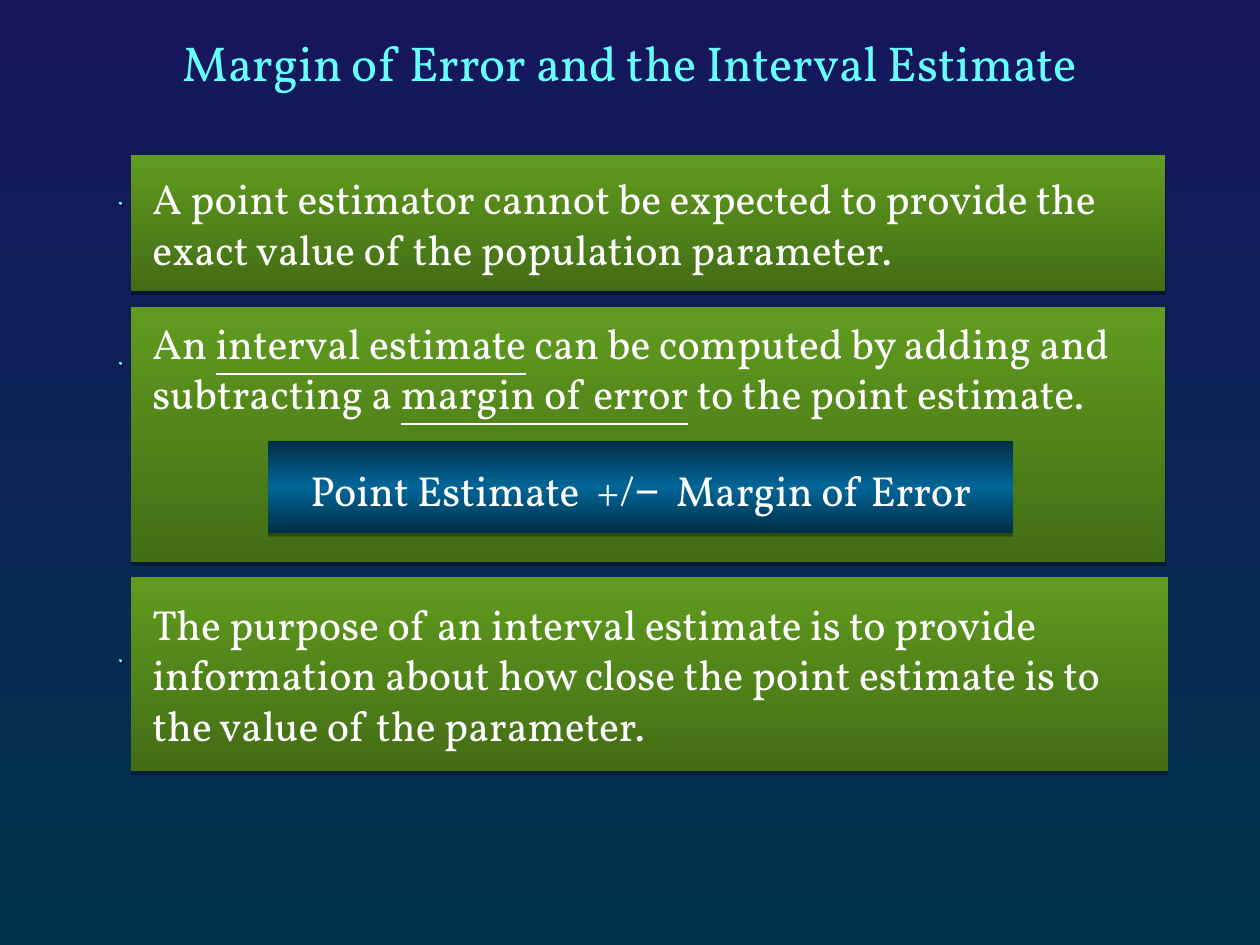
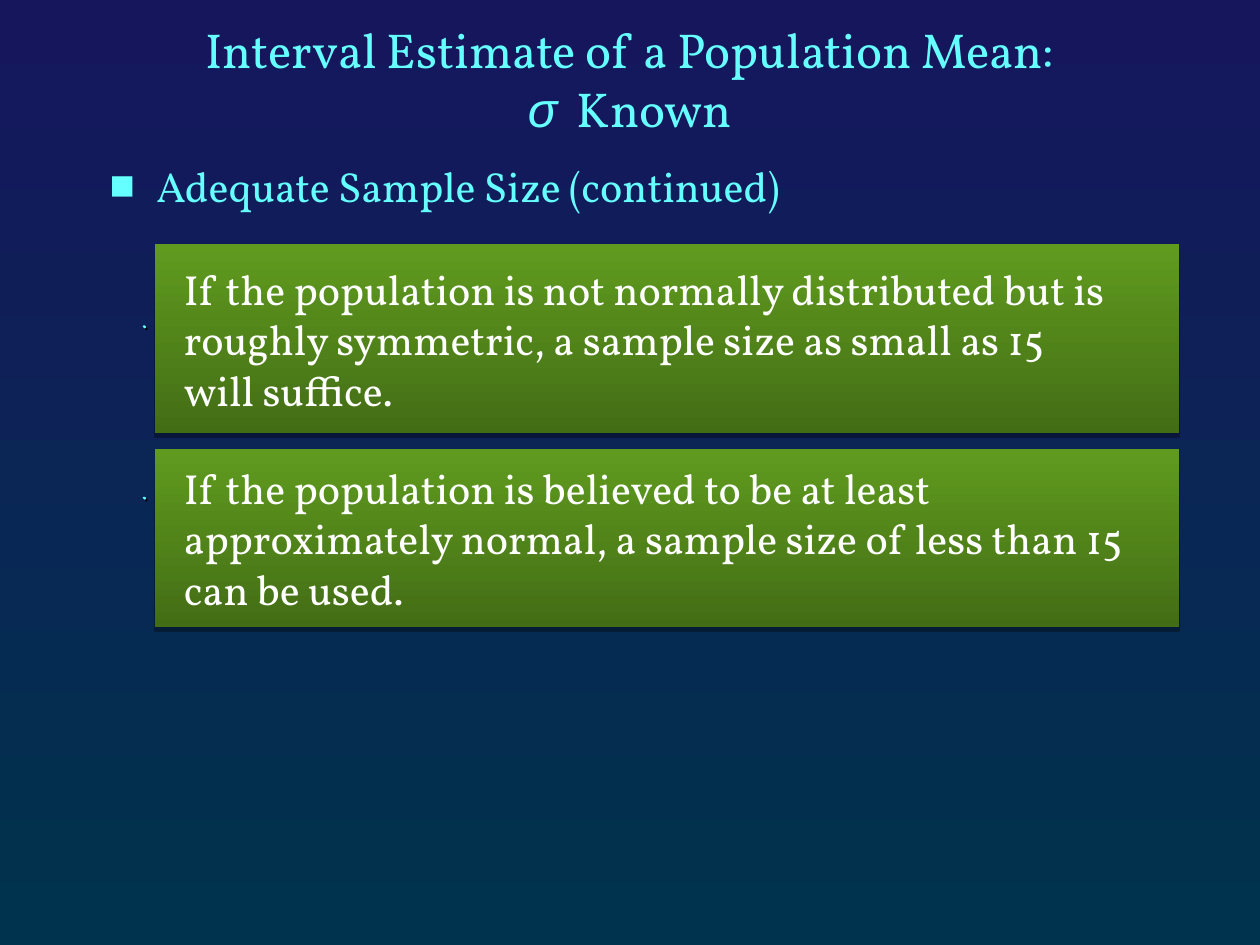
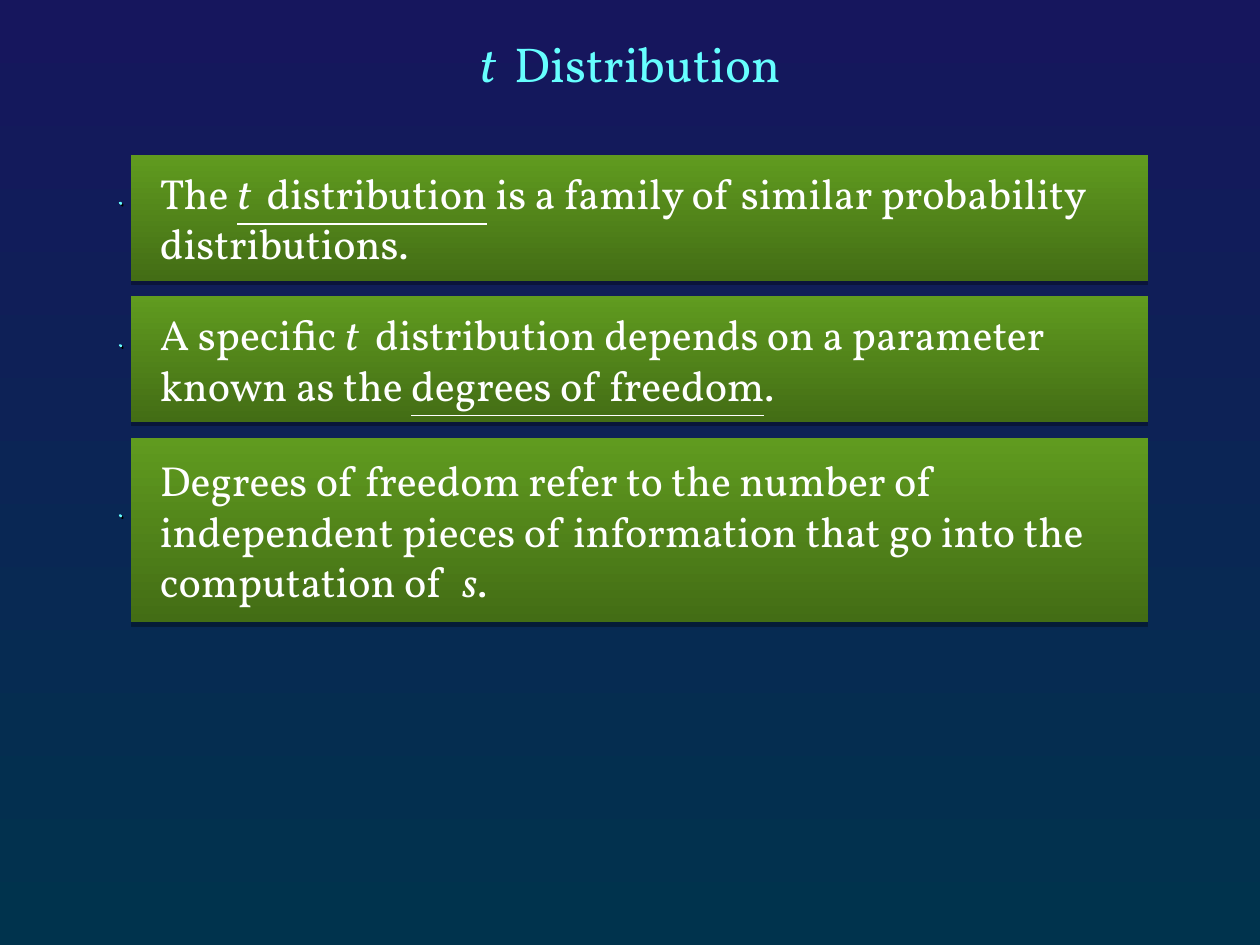
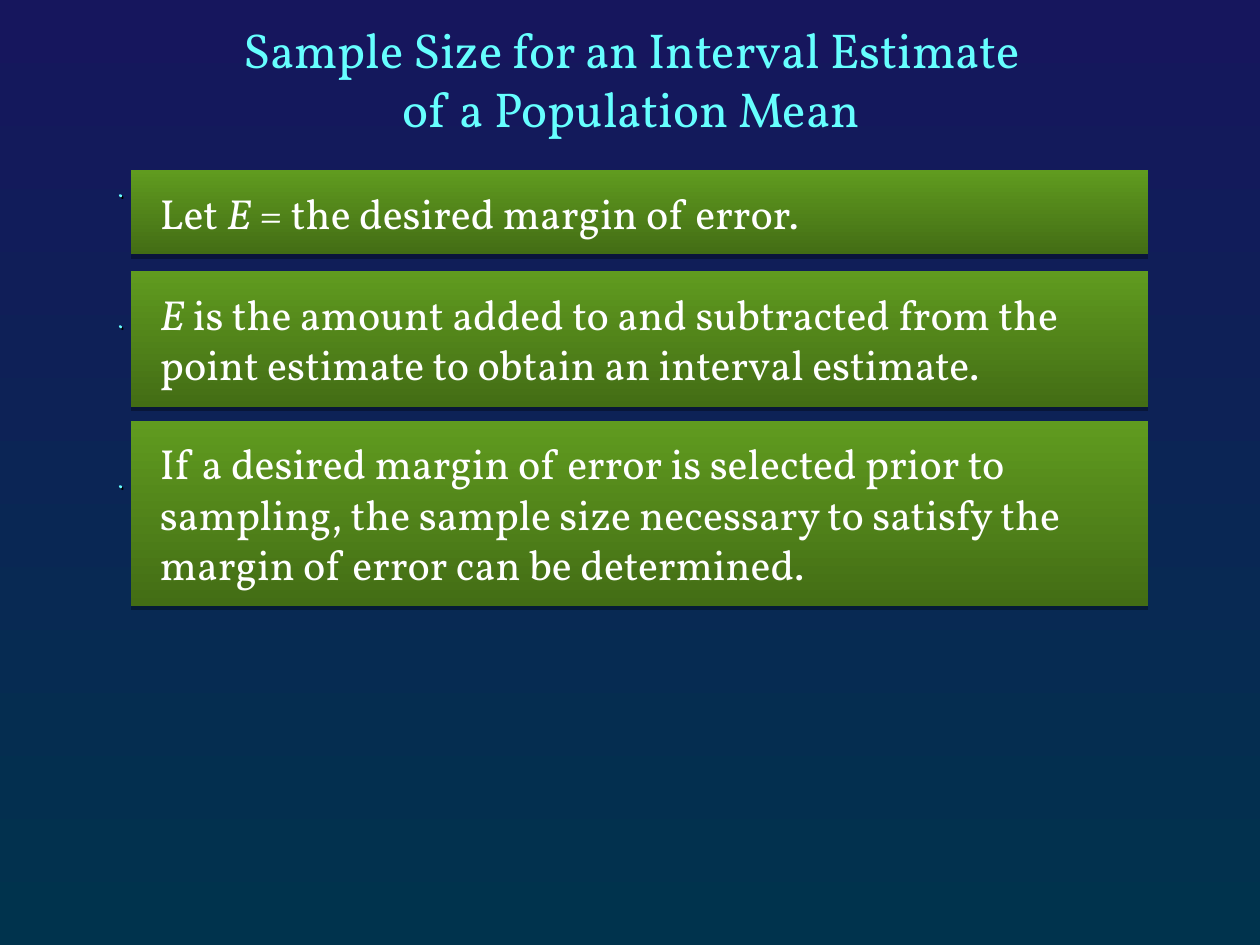
from copy import deepcopy

from pptx import Presentation
from pptx.dml.color import RGBColor
from pptx.enum.shapes import MSO_SHAPE
from pptx.enum.text import MSO_ANCHOR, MSO_AUTO_SIZE, PP_ALIGN
from pptx.oxml import parse_xml
from pptx.oxml.ns import nsdecls, qn
from pptx.util import Inches, Pt

RECTANGLE = MSO_SHAPE.RECTANGLE
TOP, MIDDLE = MSO_ANCHOR.TOP, MSO_ANCHOR.MIDDLE
LEFT, CENTER = PP_ALIGN.LEFT, PP_ALIGN.CENTER
NO_AUTOFIT = MSO_AUTO_SIZE.NONE

SERIF, SYMBOL = "Vollkorn", "Arial"
CYAN, WHITE, BLACK = "66FFFF", "FFFFFF", "000000"
NIGHT = ("16165D", "00334D")
GREEN = ("609B1F", "436D15")
BLUE = ("002F46", "006699", "002F46")
TITLE_SIZE, TEXT_SIZE = 28, 24


def color(value):
    return RGBColor.from_string(value)


def italic(text, **style):
    return text, {"italic": True, **style}


def underlined(text):
    return text, {"underline": True}


def symbol(text, **style):
    return text, {"name": SYMBOL, **style}


def paint_gradient(owner, fill, colors):
    fill.gradient()
    fill.gradient_angle = 270
    stops = next(owner.element.iter(qn("a:gsLst")))
    while len(stops) < len(colors):
        stops.append(deepcopy(stops[-1]))
    for index, (stop, value) in enumerate(zip(fill.gradient_stops, colors)):
        stop.color.rgb = color(value)
        stop.position = index / (len(colors) - 1)


def cast_shadow(shape, distance, angle, opacity):
    shape.shadow.inherit = False
    effects = shape.element.spPr.find(qn("a:effectLst"))
    effects.append(parse_xml(
        f'<a:outerShdw {nsdecls("a")} dist="{Pt(distance)}" dir="{angle * 60000}" '
        f'algn="ctr" rotWithShape="0"><a:srgbClr val="{BLACK}">'
        f'<a:alpha val="{opacity * 1000}"/></a:srgbClr></a:outerShdw>'))


def write(shape, lines, size=TEXT_SIZE, ink=WHITE, align=LEFT, anchor=MIDDLE,
          inset_left=0.1, inset_top=0.05):
    frame = shape.text_frame
    frame.word_wrap = True
    frame.auto_size = NO_AUTOFIT
    frame.vertical_anchor = anchor
    frame.margin_left, frame.margin_right = Inches(inset_left), Inches(0.1)
    frame.margin_top, frame.margin_bottom = Inches(inset_top), Inches(0.05)
    for index, line in enumerate(lines):
        paragraph = frame.add_paragraph() if index else frame.paragraphs[0]
        paragraph.alignment = align
        paragraph.space_before = Pt(0)
        for part in [line] if isinstance(line, str) else line:
            if part == "\n":
                paragraph.add_line_break()
                continue
            text, style = (part, {}) if isinstance(part, str) else part
            run = paragraph.add_run()
            run.text = text
            run.font.size = Pt(size)
            run.font.color.rgb = color(ink)
            for key, value in {"name": SERIF, **style}.items():
                setattr(run.font, key, value)


def place(shape, left, top, width, height):
    shape.left, shape.top = Inches(left), Inches(top)
    shape.width, shape.height = Inches(width), Inches(height)


def add_slide(deck, layout, heading, top, height, left=0.75):
    slide = deck.slides.add_slide(deck.slide_layouts[layout])
    place(slide.shapes.title, left, top, 8.5, height)
    write(slide.shapes.title, [heading], size=TITLE_SIZE, ink=CYAN, align=CENTER)
    return slide


def add_box(slide, left, top, width, height, colors):
    box = slide.shapes.add_shape(RECTANGLE, Inches(left), Inches(top),
                                 Inches(width), Inches(height))
    paint_gradient(box, box.fill, colors)
    box.line.fill.background()
    cast_shadow(box, distance=2.2, angle=90, opacity=32)
    return box


def add_mark(slide, left, top, width=0.27, height=0.17):
    outline = slide.shapes.build_freeform(0, 0)
    outline.add_line_segments([(Inches(0.01), 0), (0, Inches(0.01))])
    mark = outline.convert_to_shape()
    outline_path = next(mark.element.iter(qn("a:path")))
    outline_path.set("w", str(Inches(width)))
    outline_path.set("h", str(Inches(height)))
    place(mark, left, top, width, height)
    mark.rotation = 90
    mark.fill.solid()
    mark.fill.fore_color.rgb = color(CYAN)
    mark.line.color.rgb = color(CYAN)
    mark.line.width = Pt(1)
    cast_shadow(mark, distance=1.4, angle=45, opacity=100)


def add_panel(slide, left, top, width, height, mark_top, lines,
              inset_left=0.23, **layout):
    panel = add_box(slide, left, top, width, height, GREEN)
    write(panel, lines, inset_left=inset_left, **layout)
    add_mark(slide, left - 0.3, mark_top)


def add_bullet(slide, text, left, top, width, height):
    body = slide.placeholders[1]
    place(body, left, top, width, height)
    properties = body.text_frame.paragraphs[0]._p.get_or_add_pPr()
    properties.set("marL", str(Inches(0.37)))
    properties.set("indent", str(-Inches(0.37)))
    for xml in (f'<a:buClr {nsdecls("a")}><a:srgbClr val="{CYAN}"/></a:buClr>',
                f'<a:buFont {nsdecls("a")} typeface="{SYMBOL}"/>',
                f'<a:buChar {nsdecls("a")} char="■"/>'):
        properties.append(parse_xml(xml))
    write(body, [text], ink=CYAN, anchor=TOP)


def style_master(deck):
    master = deck.slide_master
    paint_gradient(master, master.background.fill, NIGHT)
    title_style = next(master.element.iter(qn("p:titleStyle")))
    defaults = next(title_style.iter(qn("a:defRPr")))
    defaults.set("sz", str(TITLE_SIZE * 100))


def margin_of_error(deck):
    slide = add_slide(deck, 5, "Margin of Error and the Interval Estimate", 0.14, 0.71)
    add_panel(slide, 1.04, 1.23, 8.21, 1.08, 1.66,
              ["A point estimator cannot be expected to provide the",
               "exact value of the population parameter."], inset_left=0.17)
    add_panel(slide, 1.04, 2.44, 8.21, 2.02, 2.93,
              [["An ", underlined("interval estimate"),
                " can be computed by adding and"],
               ["subtracting a ", underlined("margin of error"),
                " to the point estimate."]],
              inset_left=0.17, anchor=TOP, inset_top=0.08)
    add_panel(slide, 1.04, 4.58, 8.23, 1.54, 5.29,
              ["The purpose of an interval estimate is to provide",
               "information about how close the point estimate is to",
               "the value of the parameter."], inset_left=0.17)
    formula = add_box(slide, 2.13, 3.5, 5.91, 0.73, BLUE)
    write(formula, [["Point Estimate  +/", symbol("−"), "  Margin of Error"]],
          align=CENTER, inset_top=0.1)


def adequate_sample_size(deck):
    heading = ["Interval Estimate of a Population Mean:", "\n",
               symbol("σ", italic=True), "  Known"]
    slide = add_slide(deck, 1, heading, 0.18, 0.89)
    add_bullet(slide, "Adequate Sample Size (continued)", 0.77, 1.22, 8.65, 0.67)
    add_panel(slide, 1.23, 1.94, 8.13, 1.5, 2.64,
              ["If the population is not normally distributed but is",
               "roughly symmetric, a sample size as small as 15",
               "will suffice."])
    add_panel(slide, 1.23, 3.56, 8.13, 1.42, 4,
              ["If the population is believed to be at least",
               "approximately normal, a sample size of less than 15",
               "can be used."])


def t_distribution(deck):
    slide = add_slide(deck, 5, [italic("t"), "  Distribution"], 0.17, 0.66)
    add_panel(slide, 1.04, 1.23, 8.07, 1, 1.66,
              [["The ", italic("t ", underline=True), underlined(" distribution"),
                " is a family of similar probability"],
               "distributions."])
    add_panel(slide, 1.04, 2.35, 8.07, 1, 2.79,
              [["A specific ", italic("t"), "  distribution depends on a parameter"],
               ["known as the ", underlined("degrees of freedom"), "."]])
    add_panel(slide, 1.04, 3.48, 8.07, 1.46, 4.14,
              ["Degrees of freedom refer to the number of",
               "independent pieces of information that go into the",
               ["computation of  ", italic("s"), "."]])


def sample_size(deck):
    heading = ["Sample Size for an Interval Estimate", "\n", "of a Population Mean"]
    slide = add_slide(deck, 5, heading, 0.22, 0.81, left=0.76)
    add_panel(slide, 1.04, 1.35, 8.07, 0.67, 1.6,
              [["Let ", italic("E"), " = the desired margin of error."]])
    add_panel(slide, 1.04, 2.15, 8.07, 1.08, 2.64,
              [[italic("E"), " is the amount added to and subtracted from the"],
               "point estimate to obtain an interval estimate."])
    add_panel(slide, 1.04, 3.34, 8.07, 1.47, 3.91,
              ["If a desired margin of error is selected prior to",
               "sampling, the sample size necessary to satisfy the",
               "margin of error can be determined."])


def main():
    deck = Presentation()
    deck.slide_width, deck.slide_height = Inches(10), Inches(7.5)
    style_master(deck)
    margin_of_error(deck)
    adequate_sample_size(deck)
    t_distribution(deck)
    sample_size(deck)
    deck.save("out.pptx")


if __name__ == "__main__":
    main()
